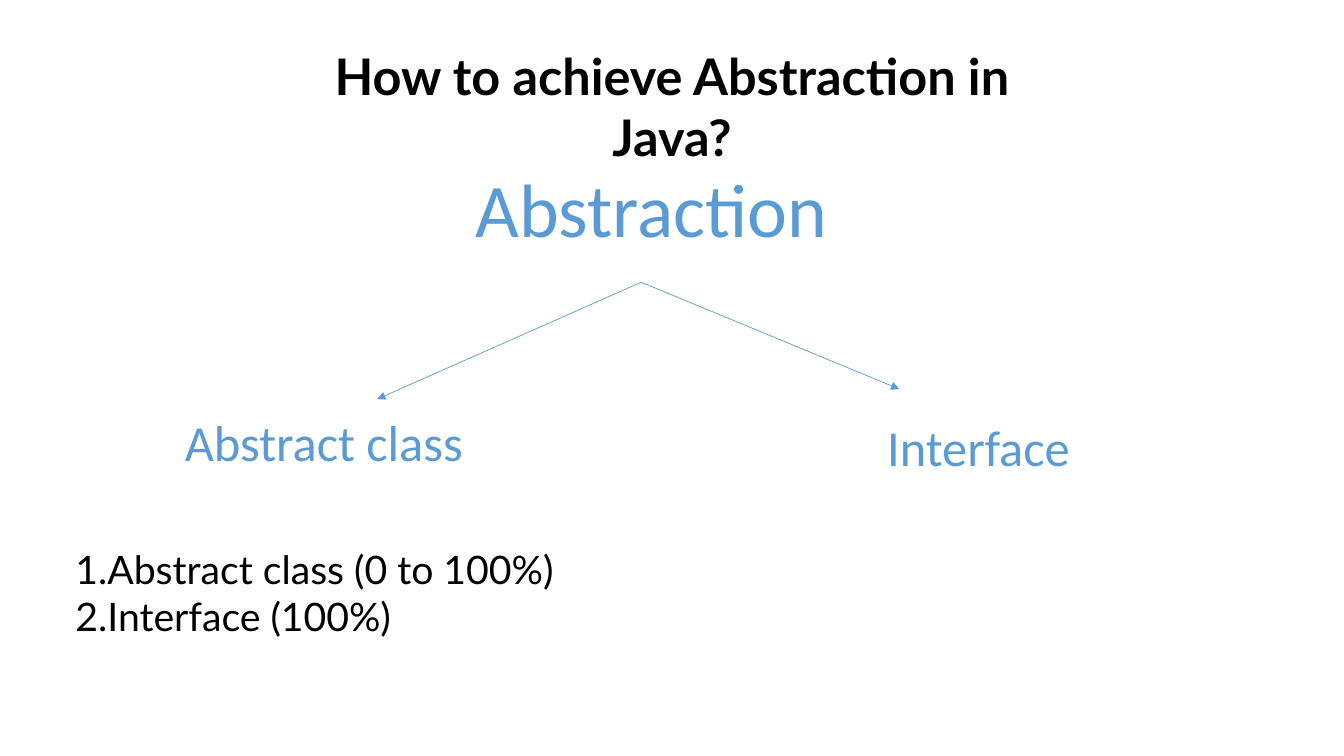
from dataclasses import dataclass

from pptx import Presentation
from pptx.dml.color import RGBColor
from pptx.enum.shapes import MSO_CONNECTOR
from pptx.enum.text import MSO_AUTO_SIZE, PP_ALIGN
from pptx.oxml.ns import qn
from pptx.util import Pt
from lxml.etree import SubElement

PX = 9144  # 100 px to the inch


@dataclass(frozen=True)
class Theme:
    ink: str = "000000"
    blue: str = "5B9BD5"
    heading_font: str = "Lato"
    diagram_font: str = "Calibri"
    title: int = 36
    root: int = 54
    branch: int = 36
    item: int = 28
    arrow: float = 0.5


THEME = Theme()


def add_text(slide, box, lines, *, size, font, color, bold=False,
             align=PP_ALIGN.CENTER, wrap=False, numbered=False):
    tf = slide.shapes.add_textbox(*(v * PX for v in box)).text_frame
    tf.word_wrap = wrap
    tf.auto_size = MSO_AUTO_SIZE.SHAPE_TO_FIT_TEXT
    for i, line in enumerate(lines):
        p = tf.paragraphs[0] if i == 0 else tf.add_paragraph()
        p.alignment = align
        if numbered:
            pPr = p._p.get_or_add_pPr()
            SubElement(pPr, qn("a:buFont"), typeface="+mj-lt")
            SubElement(pPr, qn("a:buAutoNum"), type="arabicPeriod")
        r = p.add_run()
        r.text = line
        r.font.size, r.font.name, r.font.bold = Pt(size), font, bold
        r.font.color.rgb = RGBColor.from_string(color)


def add_arrow(slide, start, end):
    c = slide.shapes.add_connector(MSO_CONNECTOR.STRAIGHT,
                                   *(v * PX for v in (*start, *end)))
    c.line.width = Pt(THEME.arrow)
    c.line.color.rgb = RGBColor.from_string(THEME.blue)
    SubElement(c.line._get_or_add_ln(), qn("a:tailEnd"), type="triangle")
    SubElement(c._element.spPr, qn("a:effectLst"))


def add_title(slide, box):
    add_text(slide, box, ["How to achieve Abstraction in Java?"], bold=True, wrap=True,
             size=THEME.title, font=THEME.heading_font, color=THEME.ink)


def add_tree(slide, box):
    x, y, w, h = box
    style = dict(font=THEME.diagram_font, color=THEME.blue)
    # Root
    add_text(slide, (x + 288, y, 373, 101), ["Abstraction"], size=THEME.root, **style)
    # Branches: label, its box, arrow tip
    fork = (x + 464, y + 124)
    branches = [
        ("Abstract class ", (x, y + h - 76, 310, 71), (x + 202, y + 240)),
        ("Interface", (x + w - 203, y + h - 71, 203, 71), (x + 720, y + 230)),
    ]
    for label, label_box, tip in branches:
        add_arrow(slide, fork, tip)
        add_text(slide, label_box, [label], size=THEME.branch, **style)


def add_ways(slide, box):
    add_text(slide, box, ["Abstract class (0 to 100%)", "Interface (100%)"],
             size=THEME.item, font=THEME.heading_font, color=THEME.ink,
             align=PP_ALIGN.LEFT, wrap=True, numbered=True)


def main():
    prs = Presentation()
    prs.slide_width, prs.slide_height = 1333 * PX, 750 * PX
    s = prs.slides.add_slide(prs.slide_layouts[6])
    add_title(s, (281, 40, 771, 131))
    add_tree(s, (172, 156, 900, 323))
    add_ways(s, (65, 536, 751, 104))
    prs.save("out.pptx")


if __name__ == "__main__":
    main()
